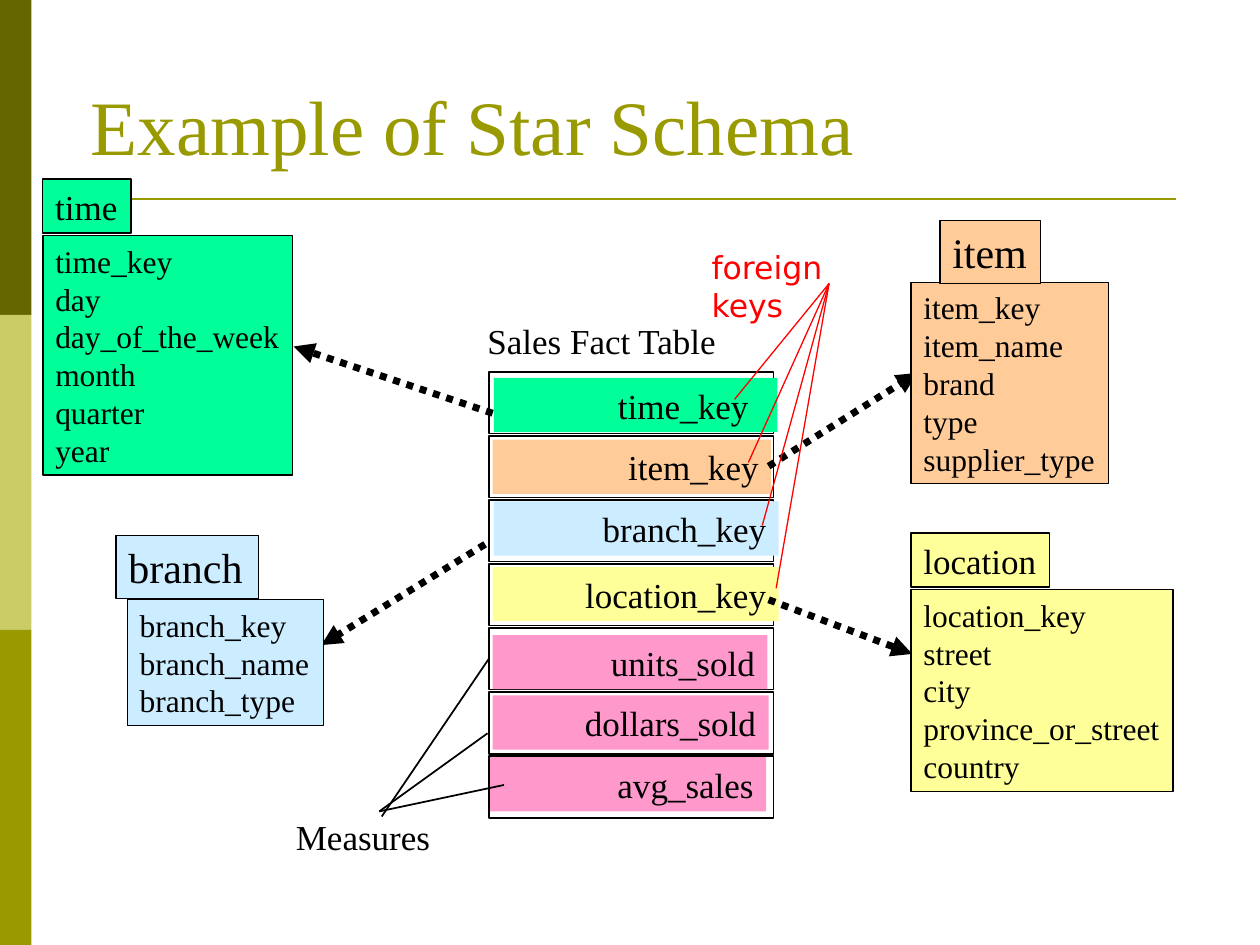
from lxml import etree
from pptx import Presentation
from pptx.dml.color import RGBColor
from pptx.enum.dml import MSO_LINE
from pptx.enum.shapes import MSO_CONNECTOR, MSO_SHAPE
from pptx.enum.text import MSO_ANCHOR, MSO_AUTO_SIZE, PP_ALIGN
from pptx.oxml.ns import qn
from pptx.util import Inches, Pt

RECT = MSO_SHAPE.RECTANGLE
STRAIGHT = MSO_CONNECTOR.STRAIGHT
DOTTED = MSO_LINE.ROUND_DOT
LEFT, RIGHT = PP_ALIGN.LEFT, PP_ALIGN.RIGHT
SERIF = "Times New Roman"
COLORS = {
    "black": "000000", "red": "FF0000",
    "dark olive": "666600", "light olive": "CCCC66", "olive": "999900",
    "time": "00FF99", "item": "FFCC99", "branch": "CCECFF",
    "location": "FFFF99", "measure": "FF99CC",
}


def add_box(shapes, at, fill=None, border=None, lines=(), size=20,
            align=LEFT, wrap=False, font=SERIF, color="black"):
    """Add a rectangle, plain where fill and border are None, with one paragraph per line."""
    box = shapes.add_shape(RECT, *[Inches(v) for v in at])
    box.shadow.inherit = False
    if fill:
        box.fill.solid()
        box.fill.fore_color.rgb = RGBColor.from_string(COLORS[fill])
    else:
        box.fill.background()
    if border:
        box.line.color.rgb = RGBColor.from_string(COLORS["black"])
        box.line.width = Pt(border)
    else:
        box.line.fill.background()
    frame = box.text_frame
    frame.word_wrap = wrap
    frame.vertical_anchor = MSO_ANCHOR.TOP
    if lines:
        frame.auto_size = MSO_AUTO_SIZE.SHAPE_TO_FIT_TEXT
    for i, line in enumerate(lines):
        paragraph = frame.paragraphs[0] if i == 0 else frame.add_paragraph()
        paragraph.text = line
        paragraph.alignment = align
        paragraph.font.name = font
        paragraph.font.size = Pt(size)
        paragraph.font.color.rgb = RGBColor.from_string(COLORS[color])
    return box


def add_line(shapes, start, end, color="black", width=1.0, arrow=False):
    """Add a straight line, or a dotted one with an arrowhead at its end."""
    line = shapes.add_connector(STRAIGHT, *[Inches(v) for v in start + end])
    line.line.color.rgb = RGBColor.from_string(COLORS[color])
    line.line.width = Pt(width)
    if arrow:
        line.line.dash_style = DOTTED
        etree.SubElement(line.line._get_or_add_ln(), qn("a:tailEnd"), type="triangle")
    etree.SubElement(line._element.spPr, qn("a:effectLst"))
    return line


prs = Presentation()
prs.slide_width, prs.slide_height = Inches(10), Inches(7.5)
slide = prs.slides.add_slide(prs.slide_layouts[5])
shapes = slide.shapes

# Side band, title and rule
for i, shade in enumerate(["dark olive", "light olive", "olive"]):
    add_box(shapes, (0, 2.5 * i, 0.25, 2.5), shade)
add_line(shapes, (0.5, 1.58), (9.33, 1.58), "olive", 1.5)

title = shapes.title
title.left, title.top = Inches(0.62), Inches(0.5)
title.width, title.height = Inches(8.35), Inches(0.91)
title.text_frame.text = "Example of Star Schema"
title.text_frame.vertical_anchor = MSO_ANCHOR.BOTTOM
heading = title.text_frame.paragraphs[0]
heading.alignment = LEFT
heading.font.name = SERIF
heading.font.size = Pt(44)
heading.font.color.rgb = RGBColor.from_string(COLORS["olive"])

# Fact table: a column of equal cells, each with a coloured key or measure
add_box(shapes, (3.77, 2.49, 2.04, 0.43), lines=["Sales Fact Table"])
fact_rows = [
    ("time_key", "time", 3.92, 3.00, 2.25),
    ("item_key", "item", 3.91, 3.49, 2.21),
    ("branch_key", "branch", 3.92, 3.98, 2.26),
    ("location_key", "location", 3.91, 4.50, 2.27),
    ("units_sold", "measure", 3.91, 5.04, 2.18),
    ("dollars_sold", "measure", 3.91, 5.52, 2.19),
    ("avg_sales", "measure", 3.89, 6.01, 2.19),
]
cells = {}
for i, (field, fill, left, top, width) in enumerate(fact_rows):
    cells[field] = add_box(shapes, (3.88, 2.95 + 3.05 / 6 * i, 2.26, 0.49), border=1)
    bar = add_box(shapes, (left, top, width, 0.43), fill, lines=[field],
                  align=RIGHT, wrap=True)
    if field == "time_key":
        bar.text_frame.margin_right = Inches(0.23)

# Measures
add_box(shapes, (2.25, 6.42, 1.33, 0.43), lines=["Measures"], wrap=True)
units_line = add_line(shapes, (3.03, 6.48), (3.88, 5.23))
units_line.end_connect(cells["units_sold"], 1)
for end in [(3.87, 5.82), (4, 6.23)]:
    add_line(shapes, (3.01, 6.44), end)

# Arrows from the fact table to the dimensions
for start, end in [
    ((3.85, 4.32), (2.55, 5.12)),
    ((3.91, 3.28), (2.33, 2.75)),
    ((6.1, 4.76), (7.24, 5.19)),
    ((6.1, 3.7), (7.28, 2.96)),
]:
    add_line(shapes, start, end, width=4, arrow=True)

# Dimension tables: name, its size and place, then fields and their place
dimensions = [
    ("time", 20, (0.34, 1.42, 0.7, 0.43), (0.34, 1.87, 1.98, 1.9),
     ["time_key", "day", "day_of_the_week", "month", "quarter", "year"]),
    ("location", 20, (7.23, 4.23, 1.1, 0.43), (7.23, 4.68, 2.08, 1.6),
     ["location_key", "street", "city", "province_or_street", "country"]),
    ("item", 24, (7.46, 1.75, 0.8, 0.5), (7.23, 2.24, 1.57, 1.6),
     ["item_key", "item_name", "brand", "type", "supplier_type"]),
    ("branch", 24, (0.92, 4.25, 1.13, 0.5), (1.01, 4.76, 1.56, 1),
     ["branch_key", "branch_name", "branch_type"]),
]
for name, size, name_at, fields_at, fields in dimensions:
    dimension = shapes.add_group_shape().shapes
    add_box(dimension, fields_at, name, 0.75, fields, 18)
    add_box(dimension, name_at, name, 0.75, [name], size)

# Foreign keys
add_box(shapes, (5.55, 1.92, 1.2, 0.68), lines=["foreign keys"], size=18,
        wrap=True, font="DejaVu Sans", color="red")
key_lines = shapes.add_group_shape().shapes
for i in range(4):
    add_line(key_lines, (6.58, 2.25), (5.83 + 0.11 * i, 3.17 + 0.5 * i), "red", 0.75)

prs.save("out.pptx")
